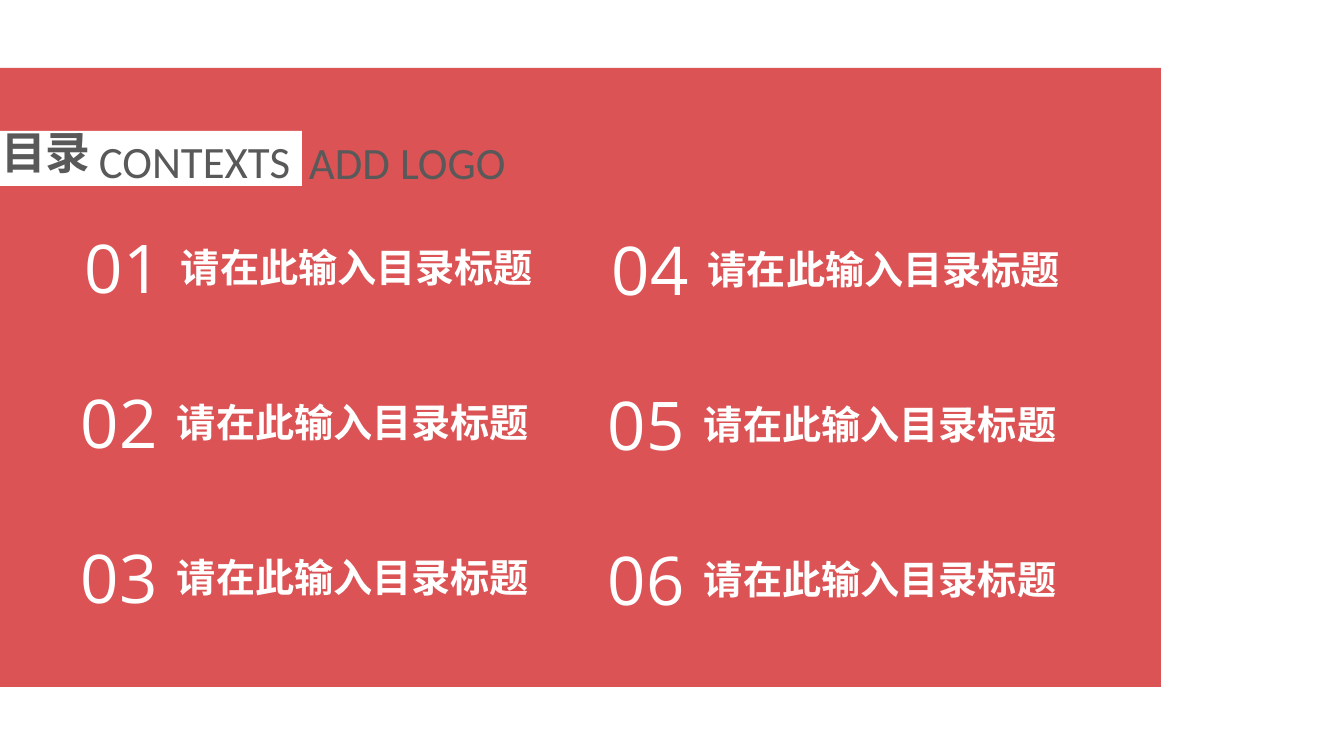
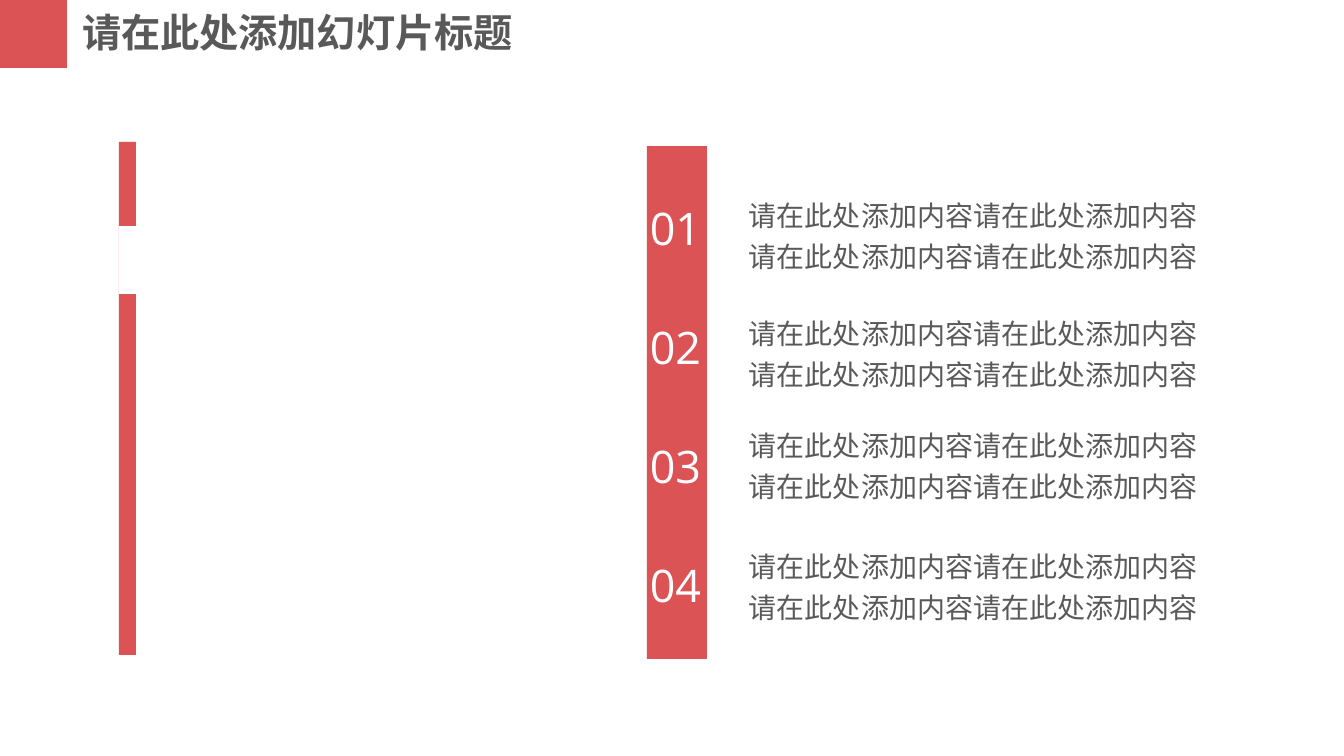
from dataclasses import dataclass

from lxml import etree
from pptx import Presentation
from pptx import util as u
from pptx.dml.color import RGBColor
from pptx.enum import shapes, text
from pptx.oxml import ns

EMU_PER_PIXEL = 914400 / 100.8
SLIDE_WIDTH, SLIDE_HEIGHT = 1344, 756
COLORS = {"accent": "DB5355", "paper": "FFFFFF", "ink": "595959"}
HEADING_FONT, NUMBER_FONT, LATIN_FONT = "Noto Sans CJK SC", "Open Sans", "Calibri"


@dataclass(frozen=True)
class Box:
    left: int
    top: int
    width: int
    height: int


@dataclass(frozen=True)
class TextStyle:
    font: str
    size: int
    color: str
    bold: bool = False
    line_spacing: float = 1.0


CONTENTS_TITLE = TextStyle(HEADING_FONT, 32, "ink", bold=True)
CONTENTS_CAPTION = TextStyle(LATIN_FONT, 32, "ink")
CONTENTS_NUMBER = TextStyle(NUMBER_FONT, 48, "paper")
CONTENTS_ENTRY = TextStyle(HEADING_FONT, 28, "paper", bold=True)
SLIDE_TITLE = TextStyle(HEADING_FONT, 28, "ink", bold=True)
ITEM_NUMBER = TextStyle(NUMBER_FONT, 32, "paper")
ITEM_BODY = TextStyle(HEADING_FONT, 20, "ink", line_spacing=1.2)


# Shared drawing functions
def pixels(length: float) -> u.Emu:
    return u.Emu(round(length * EMU_PER_PIXEL))


def place(shape, box: Box) -> None:
    shape.left, shape.top = pixels(box.left), pixels(box.top)
    shape.width, shape.height = pixels(box.width), pixels(box.height)


def write(shape, words: str, style: TextStyle) -> None:
    frame = shape.text_frame
    frame.word_wrap = True
    frame.auto_size = text.MSO_AUTO_SIZE.SHAPE_TO_FIT_TEXT
    frame.vertical_anchor = text.MSO_ANCHOR.TOP
    paragraph = frame.paragraphs[0]
    paragraph.alignment = text.PP_ALIGN.LEFT
    paragraph.line_spacing = style.line_spacing
    run = paragraph.add_run()
    run.text = words
    run.font.size = u.Pt(style.size)
    run.font.bold = style.bold
    run.font.color.rgb = RGBColor.from_string(COLORS[style.color])
    run.font.name = style.font
    # East Asian characters need their own typeface entry
    properties = run.font._element
    etree.SubElement(properties, ns.qn("a:ea")).set("typeface", style.font)


def add_text(slide, box: Box, words: str, style: TextStyle) -> None:
    shape = slide.shapes.add_textbox(0, 0, 0, 0)
    place(shape, box)
    write(shape, words, style)


def add_band(slide, box: Box, color: str) -> None:
    shape = slide.shapes.add_shape(shapes.MSO_SHAPE.RECTANGLE, 0, 0, 0, 0)
    place(shape, box)
    shape.shadow.inherit = False
    shape.fill.solid()
    shape.fill.fore_color.rgb = RGBColor.from_string(COLORS[color])
    shape.line.fill.background()


def set_title(slide, box: Box, words: str, style: TextStyle) -> None:
    title = slide.shapes.title
    place(title, box)
    write(title, words, style)
    # Bring the title in front of the bands drawn so far
    slide.shapes.element.append(title.element)


def add_slide(presentation):
    return presentation.slides.add_slide(presentation.slide_layouts[5])


# Contents slide
def build_contents(presentation) -> None:
    slide = add_slide(presentation)
    add_band(slide, Box(0, 68, 1161, 619), "accent")
    add_band(slide, Box(0, 131, 302, 55), "paper")
    set_title(slide, Box(-9, 120, 121, 65), "目录", CONTENTS_TITLE)
    add_text(slide, Box(89, 129, 266, 65), "CONTEXTS", CONTENTS_CAPTION)
    add_text(slide, Box(299, 130, 266, 65), "ADD LOGO", CONTENTS_CAPTION)

    rows, row_pitch, first_row_shift = 3, 155, 4
    for column, (column_left, column_top) in enumerate([(71, 221), (598, 223)]):
        for row in range(rows):
            left = column_left + (first_row_shift if row == 0 else 0)
            top = column_top + row * row_pitch
            number = f"{column * rows + row + 1:02d}"
            add_text(slide, Box(left, top, 134, 92), number, CONTENTS_NUMBER)
            add_text(slide, Box(left + 96, top + 17, 394, 57),
                     "请在此输入目录标题", CONTENTS_ENTRY)


# Numbered list slide
def build_list(presentation) -> None:
    slide = add_slide(presentation)
    add_band(slide, Box(0, 0, 67, 68), "accent")
    set_title(slide, Box(72, 3, 494, 57), "请在此处添加幻灯片标题", SLIDE_TITLE)

    # Number column, and the thin bar with its white gap
    add_band(slide, Box(647, 146, 60, 513), "accent")
    add_band(slide, Box(119, 142, 17, 513), "accent")
    add_band(slide, Box(119, 226, 67, 68), "paper")

    for index, body_top in enumerate([187, 305, 417, 538]):
        add_text(slide, Box(640, 196 + index * 119, 82, 65),
                 f"{index + 1:02d}", ITEM_NUMBER)
        add_text(slide, Box(739, body_top, 481, 88),
                 "请在此处添加内容" * 4, ITEM_BODY)


def main() -> None:
    presentation = Presentation()
    presentation.slide_width = pixels(SLIDE_WIDTH)
    presentation.slide_height = pixels(SLIDE_HEIGHT)
    build_contents(presentation)
    build_list(presentation)
    presentation.save("out.pptx")


main()
